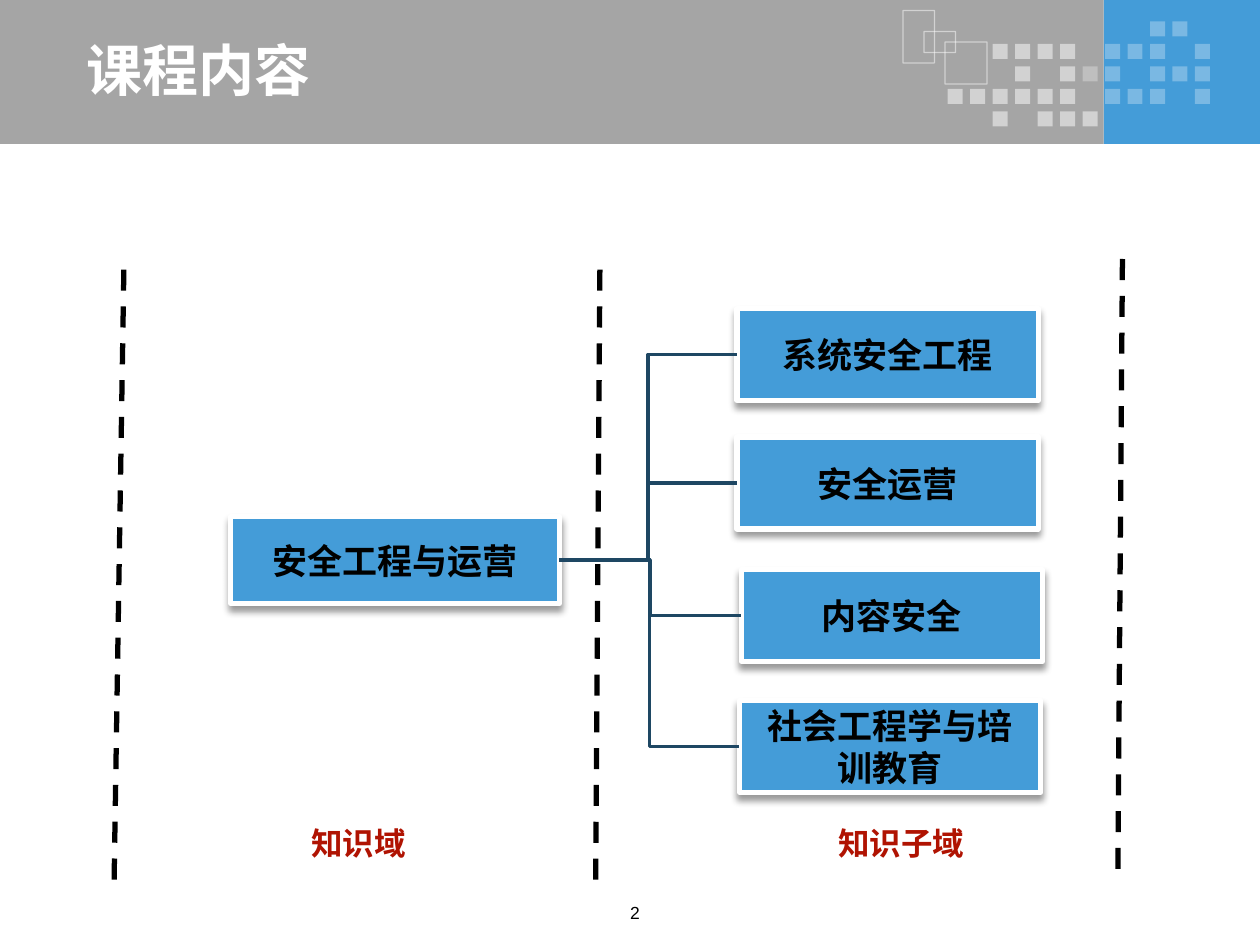
"""Build the course outline slide: one knowledge domain and its four subdomains."""
from lxml import etree
from pptx import Presentation
from pptx import util as u
from pptx.dml.color import RGBColor
from pptx.enum import dml, shapes, text
from pptx.oxml.ns import qn

Pt = u.Pt
C = {"blue": "449CD8", "gray": "A5A5A5", "white": "FFFFFF", "black": "000000",
     "red": "B01302", "navy": "1E4763"}
CJK = "Noto Sans CJK SC"

TITLE = "课程内容"
PAGE = "2"
DOMAIN = ("安全工程与运营", 131.8, 295.2, 187.9, 49.7)
SUBDOMAINS = [("系统安全工程", 421.2, 176.4), ("安全运营", 421.2, 249.8),
              ("内容安全", 423.6, 325.5), ("社会工程学与培训教育", 422.6, 400.3)]
SUB_SIZE = (172.1, 52.5)
LABELS = [("知识域", 162, 85.7), ("知识子域", 447.1, 136)]
DIVIDERS = [(342.8, 154.1, 340.4, 503.6), (641.4, 148, 638.8, 497),
            (70.8, 154.1, 65.2, 503.6)]
BANDS = [("blue", 630.7, 89.3), ("gray", 0, 630.7)]
BAND_H = 82.3
FRAMES = [(516, 6, 18, 30), (528, 18, 18, 12), (540, 24, 24, 24)]
DOTS = [".........++.",
        "..####.+++.+",
        "...#.#++.+++",
        "######.+++.+",
        "..#.###....."]
DOT_ALPHA = {"#": 50, "+": 29}
DOT_X, DOT_Y, DOT_STEP, DOT_SIZE = 541.5, 12.2, 12.85, 8.6


def rgb(name):
    return RGBColor.from_string(C[name])


def add_alpha(fill_format_xml, percent):
    color = next(fill_format_xml.iter(qn("a:srgbClr")))
    etree.SubElement(color, qn("a:alpha"), val=str(percent * 1000))


def add_rect(s, box, fill=None, line=None, width=0, alpha=None):
    sp = s.shapes.add_shape(shapes.MSO_SHAPE.RECTANGLE, *map(Pt, box))
    sp.shadow.inherit = False
    if fill:
        sp.fill.solid()
        sp.fill.fore_color.rgb = rgb(fill)
    else:
        sp.fill.background()
    if line:
        sp.line.color.rgb = rgb(line)
        sp.line.width = Pt(width)
    else:
        sp.line.fill.background()
    if alpha:
        add_alpha(sp.element.spPr, alpha)
    return sp


def write(tf, words, size, color, bold=True, font="Arial",
          align=text.PP_ALIGN.CENTER, wrap=True):
    tf.word_wrap = wrap
    p = tf.paragraphs[0]
    p.alignment = align
    r = p.add_run()
    r.text = words
    r.font.size, r.font.bold, r.font.name = Pt(size), bold, font
    r.font.color.rgb = rgb(color)
    latin = r.font._element.find(qn("a:latin"))
    latin.addnext(latin.makeelement(qn("a:ea"), {"typeface": CJK}))


def add_box(s, words, box, wrap=True):
    sp = add_rect(s, box, "blue", "white", 3)
    shadow = etree.SubElement(sp.element.spPr.find(qn("a:effectLst")), qn("a:outerShdw"),
                              blurRad=str(Pt(4)), dist=str(Pt(3)), dir="5400000",
                              rotWithShape="0")
    etree.SubElement(shadow, qn("a:srgbClr"), val=C["black"])
    add_alpha(shadow, 40)
    sp.text_frame.vertical_anchor = text.MSO_ANCHOR.MIDDLE
    write(sp.text_frame, words, 20, "black", wrap=wrap)
    return sp


def add_line(s, kind, ends, color, width):
    line = s.shapes.add_connector(kind, *ends)
    line.line.color.rgb = rgb(color)
    line.line.width = Pt(width)
    etree.SubElement(line.element.spPr, qn("a:effectLst"))
    return line


def add_text(s, words, box, size, color, bold=True):
    write(s.shapes.add_textbox(*map(Pt, box)).text_frame, words, size, color, bold)


def add_header(s):
    for color, x, w in BANDS:
        add_rect(s, (x, 0, w, BAND_H), color)
    for row, marks in enumerate(DOTS):
        for col, mark in enumerate(marks):
            if mark in DOT_ALPHA:
                box = (DOT_X + col * DOT_STEP, DOT_Y + row * DOT_STEP, DOT_SIZE, DOT_SIZE)
                add_rect(s, box, "white", alpha=DOT_ALPHA[mark])
    for box in FRAMES:
        frame = add_rect(s, box, line="white", width=0.75, alpha=50)
    title = s.shapes.title
    frame.element.addnext(title.element)
    title.left, title.top, title.width, title.height = map(Pt, (42, 20.2, 558.7, 38.2))
    tf = title.text_frame
    tf.auto_size = text.MSO_AUTO_SIZE.NONE
    tf.vertical_anchor = text.MSO_ANCHOR.MIDDLE
    write(tf, TITLE, 32, "white", font=CJK, align=text.PP_ALIGN.LEFT)


def add_diagram(s):
    for ends in DIVIDERS:
        line = add_line(s, shapes.MSO_CONNECTOR.STRAIGHT, map(Pt, ends), "black", 3)
        line.line.dash_style = dml.MSO_LINE.DASH
    for words, x, w in LABELS:
        add_text(s, words, (x, 467.3, w, 29), 18, "red")
    words, *box = DOMAIN
    domain = add_box(s, words, box, wrap=False)
    subs = [add_box(s, words, (x, y, *SUB_SIZE)) for words, x, y in SUBDOMAINS]
    for sub in subs:
        ends = (domain.left + domain.width, domain.top + domain.height // 2,
                sub.left, sub.top + sub.height // 2)
        link = add_line(s, shapes.MSO_CONNECTOR.ELBOW, ends, "navy", 2)
        link.begin_connect(domain, 3)
        link.end_connect(sub, 1)


def main():
    prs = Presentation()
    prs.slide_width, prs.slide_height = Pt(720), Pt(540)
    s = prs.slides.add_slide(prs.slide_layouts[5])
    add_header(s)
    add_diagram(s)
    add_text(s, PAGE, (329.8, 511.9, 66.2, 20.9), 10, "black", bold=False)
    prs.save("out.pptx")


if __name__ == "__main__":
    main()
